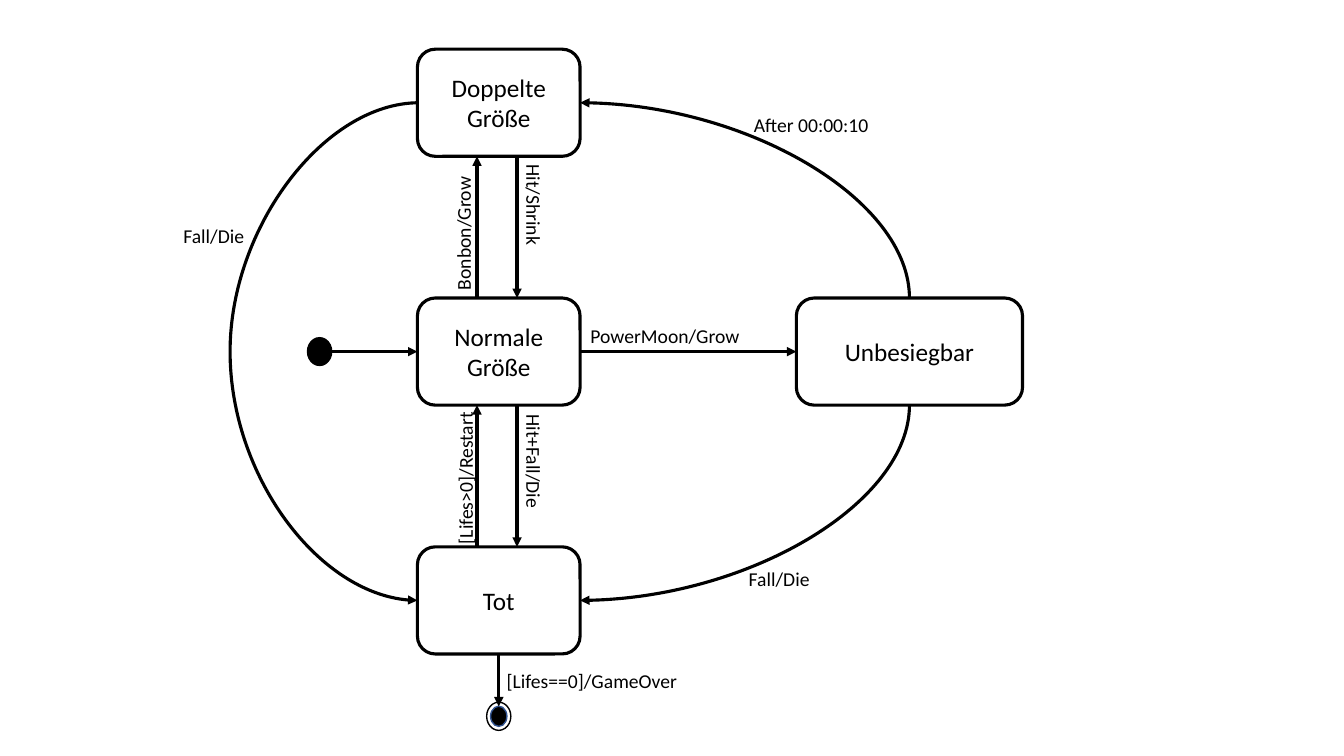
"""Build a state diagram of a jump-and-run figure."""
from lxml import etree
from pptx import Presentation
from pptx import util as u
from pptx.dml.color import RGBColor
from pptx.enum import shapes, text
from pptx.oxml import ns

Cm = u.Cm
INK = {"black": "000000", "white": "FFFFFF", "blue": "325491"}
KIND = shapes.MSO_SHAPE
LINK = shapes.MSO_CONNECTOR
TOP, LEFT, BELOW, RIGHT = range(4)


class Chart:
    """Hold the style and the current slide."""

    def __init__(self, slide, font="Calibri"):
        self.slide, self.font = slide, font

    def ink(self, name):
        """Return a named colour."""
        return RGBColor.from_string(INK[name])

    def words(self, shape, words, size, align):
        """Put one styled paragraph into a shape."""
        frame = shape.text_frame
        frame.text = words
        frame.word_wrap = True
        for para in frame.paragraphs:
            para.alignment = align
            for run in para.runs:
                run.font.size = u.Pt(size)
                run.font.name = self.font
                run.font.color.rgb = self.ink("black")
        return frame

    def shape(self, kind, x, y, w, h, fill, line="black", width=1):
        """Draw a filled preset shape."""
        form = self.slide.shapes.add_shape(kind, Cm(x), Cm(y), Cm(w), Cm(h))
        form.shadow.inherit = False
        form.fill.solid()
        form.fill.fore_color.rgb = self.ink(fill)
        form.line.color.rgb = self.ink(line)
        form.line.width = u.Pt(width)
        return form

    def state(self, words, x, y, w, h):
        """Draw a rounded state box."""
        box = self.shape(KIND.ROUNDED_RECTANGLE, x, y, w, h, "white", width=2.25)
        frame = self.words(box, words, 18, text.PP_ALIGN.CENTER)
        frame.vertical_anchor = text.MSO_ANCHOR.MIDDLE
        frame.margin_left = frame.margin_right = Cm(0.7)
        return box

    def label(self, words, x, y, w=5.08, turn=0):
        """Add the label of a transition."""
        box = self.slide.shapes.add_textbox(Cm(x), Cm(y), Cm(w), Cm(0.86))
        box.rotation = turn
        self.words(box, words, 14, text.PP_ALIGN.LEFT)

    def arrow(self, x1=0, y1=0, x2=0, y2=0, kind=LINK.STRAIGHT, tip="tailEnd"):
        """Draw a connector with one arrowhead."""
        line = self.slide.shapes.add_connector(kind, Cm(x1), Cm(y1), Cm(x2), Cm(y2))
        line.line.color.rgb = self.ink("black")
        line.line.width = u.Pt(2.25)
        part = line._element.spPr
        etree.SubElement(part.find(ns.qn("a:ln")), ns.qn("a:" + tip), type="triangle")
        etree.SubElement(part, ns.qn("a:effectLst"))
        return line

    def join(self, start, side, goal, port, **style):
        """Connect two states at the given sides."""
        line = self.arrow(**style)
        line.begin_connect(start, side)
        line.end_connect(goal, port)
        return line

    def arc(self, start, side, goal, port, tip):
        """Connect two states by a quarter curve."""
        line = self.join(start, side, goal, port, kind=LINK.CURVE, tip=tip)
        line._element.spPr.find(ns.qn("a:prstGeom")).set("prst", "curvedConnector2")

    def loop(self, start, goal, reach):
        """Connect two left sides by a curve that swings out."""
        line = self.join(start, LEFT, goal, LEFT, kind=LINK.CURVE)
        line.begin_x += Cm(0.04)
        form = line._element.spPr.find(ns.qn("a:prstGeom"))
        for old in list(form):
            form.remove(old)
        guides = etree.SubElement(form, ns.qn("a:avLst"))
        ratio = round(Cm(reach) / line.width * 100000)
        etree.SubElement(guides, ns.qn("a:gd"), name="adj1", fmla=f"val {ratio}")


deck = Presentation()
deck.slide_width, deck.slide_height = Cm(33.87), Cm(19.05)
chart = Chart(deck.slides.add_slide(deck.slide_layouts[6]))

x, wide, high = 10.52, 4.1, 2.7
rows = [1.24 + 6.27 * i for i in range(3)]
mid, centre = rows[1] + high / 2, x + wide / 2
names = ("Doppelte Größe", "Normale Größe", "Tot")
big, plain, dead = [chart.state(n, x, y, wide, high) for n, y in zip(names, rows)]
power = chart.state("Unbesiegbar", 20.07, rows[1], 5.7, high)

chart.shape(KIND.OVAL, 7.75, mid - 0.35, 0.61, 0.7, "black")
chart.arrow(8.36, mid, x, mid)
for upper, lower in zip(rows, rows[1:]):
    chart.arrow(12.02, lower, 12.02, upper + high)
    chart.arrow(13.03, upper + high, 13.03, lower)
chart.join(plain, RIGHT, power, LEFT)
chart.arc(big, RIGHT, power, TOP, "headEnd")
chart.arc(dead, RIGHT, power, BELOW, "headEnd")
chart.loop(big, dead, 4.76)

for w, h, fill, line in ((0.61, 0.71, "white", "black"), (0.41, 0.51, "black", "blue")):
    chart.shape(KIND.OVAL, centre - w / 2, 18.05 - h / 2, w, h, fill, line)
chart.arrow(centre, rows[2] + high, centre, 17.8)

for words, left, top, turn in (
    ("Bonbon/Grow", 9.63, 5.08, 270),
    ("Hit/Shrink", 11.4, 5.51, 90),
    ("[Lifes>0]/Restart", 9.68, 11.48, 270),
    ("Hit+Fall/Die", 11.4, 11.81, 90),
):
    chart.label(words, left, top, wide, turn)
for words, left, top in (
    ("PowerMoon/Grow", 14.63, 8.05),
    ("After 00:00:10", 18.75, 2.72),
    ("Fall/Die", 18.62, 14.17),
    ("Fall/Die", 4.37, 5.51),
    ("[Lifes==0]/GameOver", 12.52, 16.74),
):
    chart.label(words, left, top)

deck.save("out.pptx")
